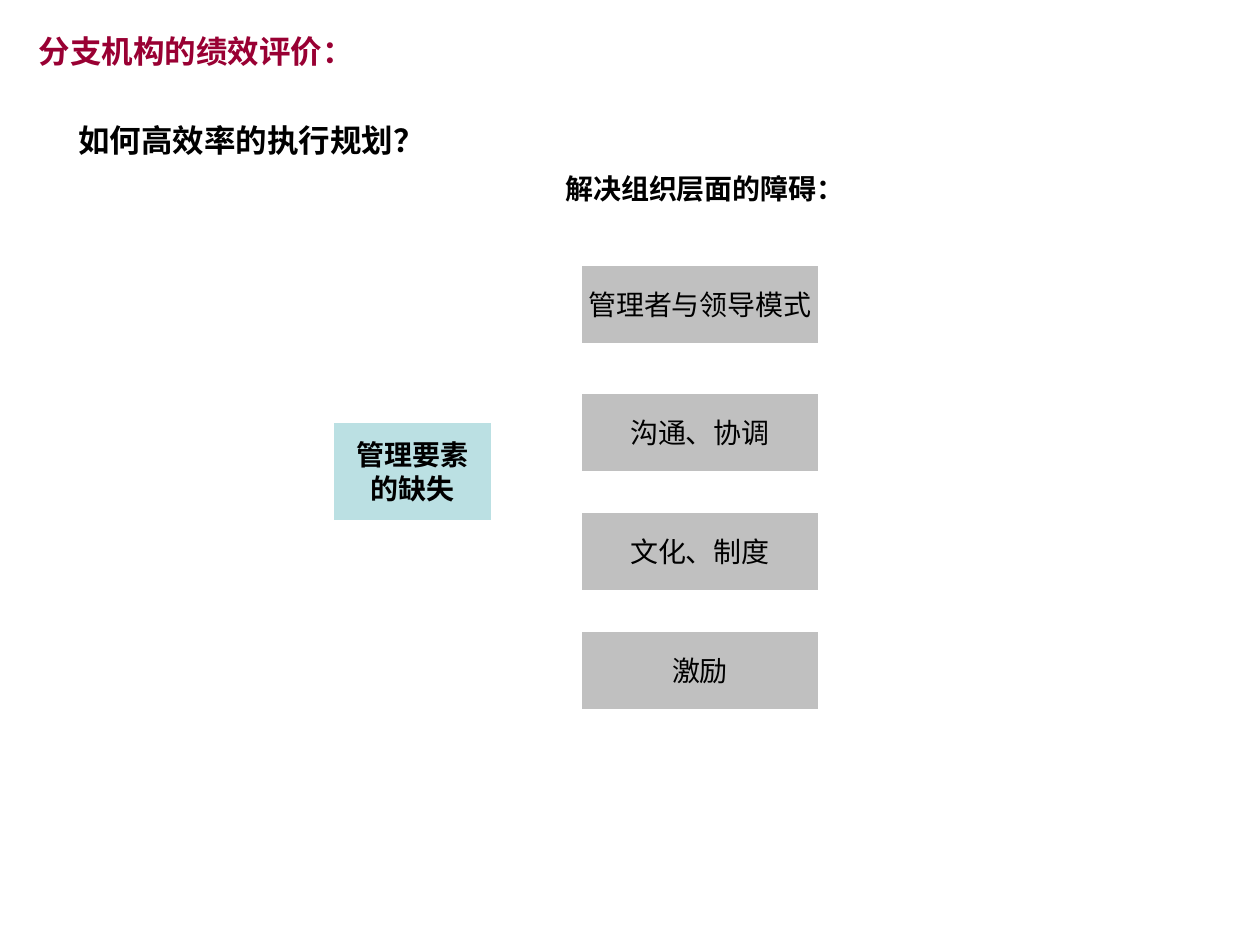
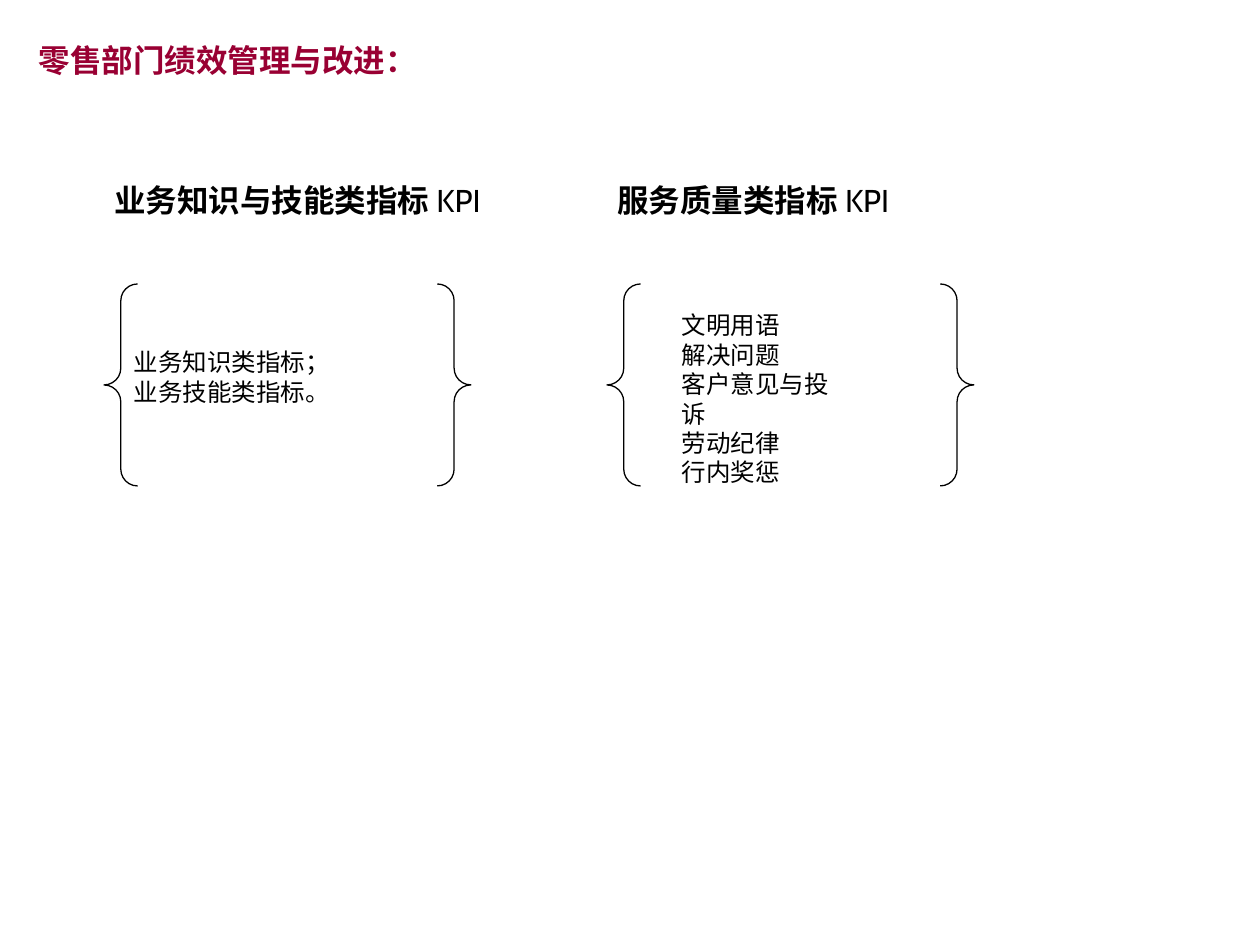
"""Build two slides on branch performance appraisal and retail KPI groups."""
from lxml import etree
from pptx import Presentation
from pptx.dml.color import RGBColor
from pptx.enum.shapes import MSO_SHAPE
from pptx.enum.text import MSO_ANCHOR, MSO_AUTO_SIZE, PP_ALIGN
from pptx.oxml.ns import qn
from pptx.util import Emu, Pt

RECT, BRACES = MSO_SHAPE.RECTANGLE, MSO_SHAPE.LEFT_BRACE.DOUBLE_BRACE
LEFT, CENTER = PP_ALIGN.LEFT, PP_ALIGN.CENTER
TOP, MIDDLE = MSO_ANCHOR.TOP, MSO_ANCHOR.MIDDLE
NO_FIT = MSO_AUTO_SIZE.NONE
SCALE = 914400 / 126
THEME = {
    "font": "Arial", "kpi_font": "Cabin",
    "title": RGBColor(0x99, 0x00, 0x33), "text": RGBColor(0, 0, 0),
    "line": RGBColor(0xFF, 0xFF, 0xFF), "cause": RGBColor(0xBB, 0xE0, 0xE3),
    "barrier": RGBColor(0xC0, 0xC0, 0xC0),
    "head": Pt(18), "label": Pt(16), "list": Pt(14), "stroke": Pt(0.75),
}


def px(*lengths):
    return [Emu(round(v * SCALE)) for v in lengths]


def write(sp, box, lines, size, color="text", bold=False, align=LEFT, anchor=TOP):
    sp.left, sp.top, sp.width, sp.height = px(*box)
    tf = sp.text_frame
    frame = {"word_wrap": False, "auto_size": NO_FIT, "vertical_anchor": anchor}
    for name, value in frame.items():
        setattr(tf, name, value)
    tf.text = "\n".join(lines)
    for p in tf.paragraphs:
        pPr = p._p.get_or_add_pPr()
        pPr.set("marL", "0")
        pPr.set("indent", "0")
        etree.SubElement(pPr, qn("a:buNone"))
        p.alignment, p.space_before = align, Pt(0)
        font = p.runs[0].font
        for name, value in {"name": THEME["font"], "size": THEME[size], "bold": bold}.items():
            setattr(font, name, value)
        font.color.rgb = THEME[color]
    return tf


prs = Presentation()
prs.slide_width, prs.slide_height = px(1260, 945)

s = prs.slides.add_slide(prs.slide_layouts[5])
write(s.shapes.title, (26, 26, 340, 88), ["分支机构的绩效评价："], "head", "title", True)

boxes = [((333, 422, 159, 99), "cause", ["管理要素", "的缺失"])]
barriers = [(265, "管理者与领导模式"), (393, "沟通、协调"), (512, "文化、制度"), (631, "激励")]
boxes += [((581, y, 238, 79), "barrier", [label]) for y, label in barriers]
for box, fill, lines in boxes:
    sp = s.shapes.add_shape(RECT, *px(*box))
    sp.shadow.inherit = False
    sp.fill.solid()
    sp.fill.fore_color.rgb = THEME[fill]
    sp.line.color.rgb = THEME["line"]
    sp.line.width = THEME["stroke"]
    write(sp, box, lines, "label", bold=fill == "cause", align=CENTER, anchor=MIDDLE)

headings = [((66, 115, 372, 50), "如何高效率的执行规划？", "head"),
            ((553, 165, 304, 47), "解决组织层面的障碍：", "label")]
for box, line, size in headings:
    write(s.shapes.add_textbox(*px(*box)), box, [line], size, bold=True)

s = prs.slides.add_slide(prs.slide_layouts[3])
write(s.shapes.title, (26, 35, 403, 50), ["零售部门绩效管理与改进："], "head", "title", True)

groups = [
    (102, 404, "业务知识与技能类指标 ", (121, 341, 222, 72),
     ["业务知识类指标；", "业务技能类指标。"]),
    (605, 310, "服务质量类指标 ", (669, 304, 197, 160),
     ["文明用语", "解决问题", "客户意见与投诉", "劳动纪律", "行内奖惩"]),
]
for i, (x, width, heading, list_box, items) in enumerate(groups, 1):
    box = (x, 175, width, 50)
    tf = write(s.shapes.add_textbox(*px(*box)), box, [heading], "head", bold=True)
    r = tf.paragraphs[0].add_run()
    r.text = "KPI"
    r.font.name, r.font.size, r.font.bold = THEME["kpi_font"], THEME["head"], False
    r.font.color.rgb = THEME["text"]

    sp = s.shapes.add_shape(BRACES, *px(x + 2, 284, 367, 202))
    sp.shadow.inherit = False
    sp.fill.background()
    sp.line.color.rgb = THEME["text"]
    sp.line.width = THEME["stroke"]

    write(s.placeholders[i], list_box, items, "list")

prs.save("out.pptx")
